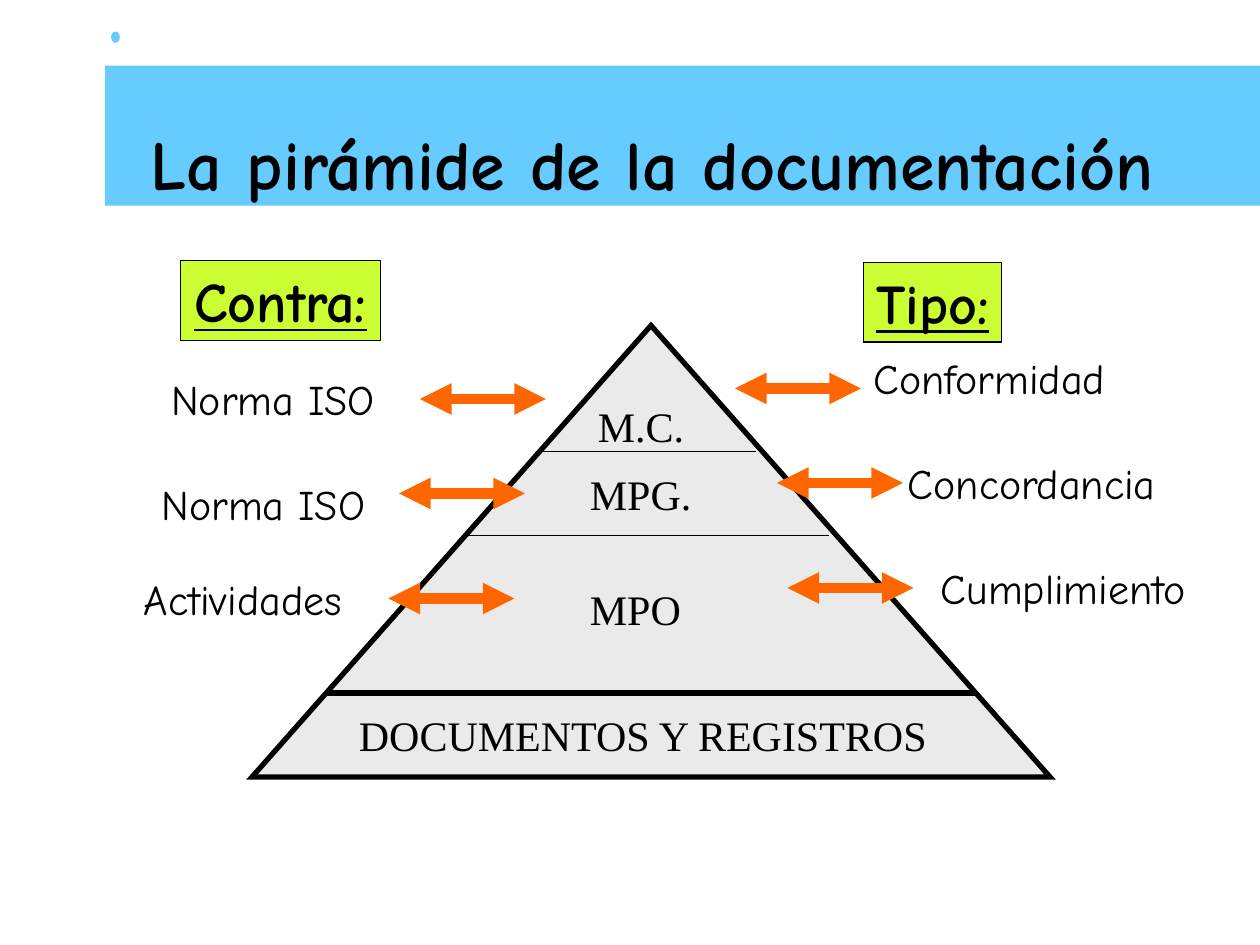
from lxml import etree
from pptx import Presentation
from pptx.dml.color import RGBColor
from pptx.enum import shapes, text
from pptx.oxml import ns
from pptx.util import Pt

BLACK = RGBColor(0x00, 0x00, 0x00)
SKY = RGBColor(0x66, 0xCC, 0xFF)
GREY = RGBColor(0xEA, 0xEA, 0xEA)
LIME = RGBColor(0xCC, 0xFF, 0x33)
ORANGE = RGBColor(0xFF, 0x66, 0x00)
HAND = "Comic Neue"
SERIF = "Times New Roman"
ARROW_LENGTH = 72
LABEL_HEIGHT = 36


def write(shape, words, font=HAND, size=24, bold=False, underline=False,
          align=text.PP_ALIGN.CENTER, wrap=False, anchor=text.MSO_ANCHOR.TOP):
    """Put one formatted line of text into a shape."""
    frame = shape.text_frame
    frame.word_wrap = wrap
    frame.vertical_anchor = anchor
    frame.auto_size = (text.MSO_AUTO_SIZE.NONE if wrap
                       else text.MSO_AUTO_SIZE.SHAPE_TO_FIT_TEXT)
    para = frame.paragraphs[0]
    para.alignment = align
    span = para.add_run()
    span.text = words
    span.font.name = font
    span.font.size = Pt(size)
    span.font.bold = bold
    span.font.underline = underline
    span.font.color.rgb = BLACK


def add_label(page, words, left, top, width, **style):
    """Add a text box that holds one label."""
    box = page.shapes.add_textbox(Pt(left), Pt(top), Pt(width), Pt(LABEL_HEIGHT))
    write(box, words, **style)


def add_figure(page, kind, left, top, width, height, fill, line_width=0):
    """Add a filled preset shape, with a black mitred outline if it has a width."""
    figure = page.shapes.add_shape(kind, Pt(left), Pt(top), Pt(width), Pt(height))
    figure.shadow.inherit = False
    figure.fill.solid()
    figure.fill.fore_color.rgb = fill
    if line_width:
        figure.line.color.rgb = BLACK
        figure.line.width = Pt(line_width)
        etree.SubElement(figure.line._get_or_add_ln(), ns.qn("a:miter"), lim="800000")
    else:
        figure.line.fill.background()
    return figure


def add_line(page, left, right, y, width, color=BLACK, arrows=False):
    """Add a level line, with arrowheads at both ends on request."""
    line = page.shapes.add_connector(
        shapes.MSO_CONNECTOR.STRAIGHT, Pt(left), Pt(y), Pt(right), Pt(y))
    line.line.color.rgb = color
    line.line.width = Pt(width)
    if arrows:
        outline = line.line._get_or_add_ln()
        for end in ("a:headEnd", "a:tailEnd"):
            etree.SubElement(outline, ns.qn(end), type="triangle")
    etree.SubElement(line.element.spPr, ns.qn("a:effectLst"))


def add_header(page, left, top, width, height):
    """Place the title over its band, with the dot above."""
    title = page.shapes.title
    band = add_figure(page, shapes.MSO_SHAPE.RECTANGLE, left, top, width, height, SKY)
    dot = add_figure(page, shapes.MSO_SHAPE.OVAL, left + 3.5, top - 19.5, 5, 6.5, SKY)
    for figure in (band, dot):
        title.element.addprevious(figure.element)
    title.left, title.top = Pt(left - 6), Pt(top + 10.5)
    title.width, title.height = Pt(648), Pt(90)
    title.text_frame.margin_right = Pt(18)
    write(title, "La pirámide de la documentación", size=40, bold=True,
          wrap=True, anchor=text.MSO_ANCHOR.MIDDLE)


def add_pyramid(page, left, top, width, height):
    """Draw the pyramid, its dividing lines and its level names."""
    add_figure(page, shapes.MSO_SHAPE.ISOSCELES_TRIANGLE,
               left, top, width, height, GREY, 3)
    dividers = [(162, 288, 72, 0.75), (120, 330, 120, 0.75), (42, 414, 210, 3)]
    for start, end, y, weight in dividers:
        add_line(page, left + start, left + end, top + y, weight)
    levels = [("M.C.", 190.5, 39.5, 64.5), ("MPG.", 186, 78, 73.5),
              ("MPO", 186, 144, 67.5), ("DOCUMENTOS Y REGISTROS", 54, 216, 342)]
    for words, x, y, label_width in levels:
        add_label(page, words, left + x, top + y, label_width,
                  font=SERIF, align=text.PP_ALIGN.LEFT)


def add_column(page, left, top, heading, heading_left, heading_width, rows):
    """Place a boxed heading above rows of a label and a double arrow."""
    box = add_figure(page, shapes.MSO_SHAPE.RECTANGLE, left + heading_left, top,
                     heading_width, 45.5, LIME, 0.75)
    write(box, heading, size=32, bold=True, underline=True)
    for words, x, y, width, arrow_x, arrow_y in rows:
        add_label(page, words, left + x, top + y, width)
        start = left + arrow_x
        add_line(page, start, start + ARROW_LENGTH, top + arrow_y, 6, ORANGE, True)


def main():
    """Build and save the slide."""
    deck = Presentation()
    deck.slide_width, deck.slide_height = Pt(720), Pt(540)
    page = deck.slides.add_slide(deck.slide_layouts[5])
    add_header(page, 60, 37.5, 660, 80)
    add_pyramid(page, 144, 186, 456, 258)
    add_column(page, 75, 149, "Contra:", 28, 114.5, [
        ("Norma ISO", 15.5, 61, 131, 165, 79),
        ("Norma ISO", 10, 121, 131, 153, 133),
        ("Actividades", 0, 175, 127.5, 147, 193)])
    add_column(page, 420, 150, "Tipo:", 73.5, 79, [
        ("Conformidad", 71.5, 48, 147.5, 0, 72),
        ("Concordancia", 91, 108, 157, 24, 126),
        ("Cumplimiento", 110, 168, 155, 30, 186)])
    deck.save("out.pptx")


if __name__ == "__main__":
    main()
